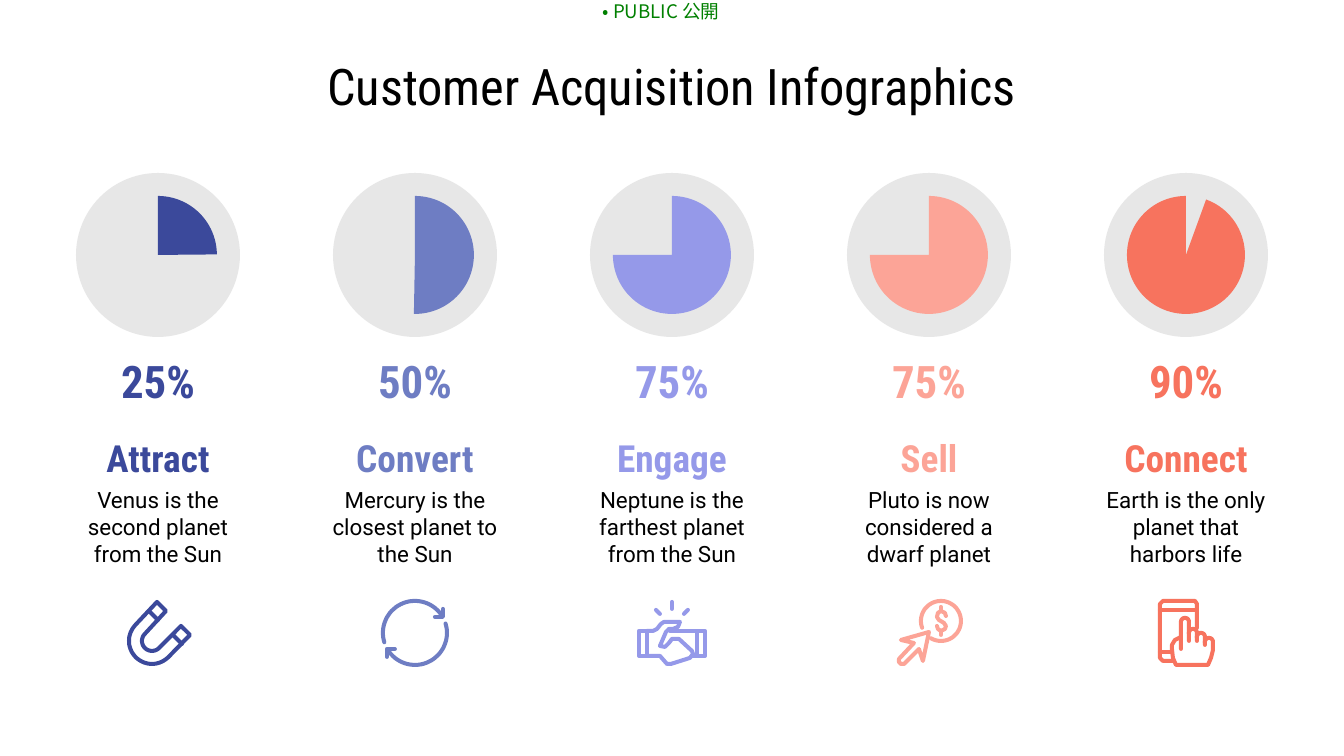
import math

import lxml.etree
import pptx
import pptx.dml.color
import pptx.enum.shapes
import pptx.enum.text
import pptx.oxml.ns
import pptx.util

SLIDE_WIDTH, SLIDE_HEIGHT = 1344, 756
SCALE = 9144000 / SLIDE_WIDTH
CURVE_STEPS = 10
ICON_WIDTH = 72
INSET = 13
BLACK, GREY, GREEN = "000000", "E7E7E7", "008000"
SHAPES = pptx.enum.shapes.MSO_SHAPE


def px(length):
    return pptx.util.Emu(round(length * SCALE))


def color(value):
    return pptx.dml.color.RGBColor.from_string(value)


def arc(center_x, center_y, radius, start, end):
    count = max(2, round(abs(end - start) / 5))
    angles = [math.radians(start + (end - start) * step / count) for step in range(count + 1)]
    return [(center_x + radius * math.cos(angle), center_y + radius * math.sin(angle)) for angle in angles]


MAGNET = [
    [(35, 4), *arc(30, 43, 23, 225, 45), (68, 37), (59, 28), *arc(30, 43, 10, 45, 225), (44, 13), (35, 4)],
    [(27, 13), (36, 22)],
    [(51, 37), (60, 46)],
]
CYCLE = [
    arc(36, 35, 32, 163, 324),
    [(56, 19), (64, 19), (64, 11)],
    arc(36, 35, 32, -17, 144),
    [(16, 51), (8, 51), (8, 59)],
]
HANDSHAKE = [
    [(36, 4), (36, 11)],
    [(20, 12), (24, 16)],
    [(52, 12), (48, 16)],
    [(3, 33), (11, 33), (11, 58), (3, 58), (3, 33)],
    [(61, 33), (69, 33), (69, 58), (61, 58), (61, 33)],
    [(11, 33), (17, 33), (21, 31), (25, 26), (28, 24), (44, 24), (42, 29), (37, 31), (33, 31),
     (30, 34), (24, 48), (29, 49), (33, 45), (36, 41), (43, 41), (56, 53), (57, 56), (54, 60),
     (35, 66), (31, 66), (24, 58), (11, 58)],
    [(34, 33), (61, 33)],
    [(56, 58), (61, 58)],
]
CLICK = [
    arc(48, 23, 20, 160, 480),
    [(36, 34), (8, 42), (21, 45), (6, 61), (6, 64), (8, 66), (11, 66), (26, 51), (30, 63), (36, 34)],
    [(53, 18), (52, 15), (48, 13), (45, 15), (44, 19), (46, 22), (51, 25), (53, 28),
     (52, 31), (48, 33), (45, 31), (44, 28)],
    [(48, 9), (48, 13)],
    [(48, 33), (48, 37)],
]
PHONE = [
    [(47, 30), (47, 6), (45, 3), (13, 3), (10, 6), (10, 60), (13, 63), (23, 63)],
    [(10, 12), (47, 12)],
    [(10, 54), (21, 54)],
    [(31, 51), (31, 24), *arc(35, 24, 4, 180, 360), (39, 43)],
    [(39, 36), *arc(43, 35, 4, 180, 360), (47, 43)],
    [(47, 40), *arc(51, 39, 4, 180, 360), (55, 47)],
    [(55, 45), *arc(59, 44, 4, 180, 360), (63, 52), (61, 60), (58, 67), (26, 67), (23, 60),
     (22, 51), (22, 47), (25, 42), (31, 39)],
]

STAGES = [
    ("25%", "Attract", "Venus is the second planet from the Sun", "3B499B", (270, 359.5), MAGNET),
    ("50%", "Convert", "Mercury is the closest planet to the Sun", "6E7DC3", (270, 91), CYCLE),
    ("75%", "Engage", "Neptune is the farthest planet from the Sun", "9599E9", (270, 180), HANDSHAKE),
    ("75%", "Sell", "Pluto is now considered a dwarf planet", "FCA497", (270, 180), CLICK),
    ("90%", "Connect", "Earth is the only planet that harbors life", "F7735E", (290, 270), PHONE),
]


def write(shape, text, size, font_name, font_color, bold=False, inset=INSET,
          anchor=pptx.enum.text.MSO_ANCHOR.MIDDLE):
    frame = shape.text_frame
    frame.text = text
    frame.word_wrap = True
    frame.auto_size = pptx.enum.text.MSO_AUTO_SIZE.NONE
    frame.vertical_anchor = anchor
    frame.margin_left = frame.margin_right = frame.margin_top = frame.margin_bottom = px(inset)
    paragraph = frame.paragraphs[0]
    paragraph.alignment = pptx.enum.text.PP_ALIGN.CENTER
    font = paragraph.runs[0].font
    font.size = pptx.util.Pt(size)
    font.name = font_name
    font.bold = bold
    font.color.rgb = color(font_color)
    return paragraph.runs[0]


def add_label(slide, box, *style, **options):
    return write(slide.shapes.add_textbox(*map(px, box)), *style, **options)


def add_filled(slide, kind, box, fill):
    shape = slide.shapes.add_shape(kind, *map(px, box))
    shape.shadow.inherit = False
    shape.fill.solid()
    shape.fill.fore_color.rgb = color(fill)
    shape.line.fill.background()
    return shape


def add_icon(slide, left, top, strokes, stroke_color):
    points = [[(x * CURVE_STEPS, y * CURVE_STEPS) for x, y in stroke] for stroke in strokes]
    builder = slide.shapes.build_freeform(*points[0][0], scale=SCALE / CURVE_STEPS)
    builder.add_line_segments(points[0][1:], close=False)
    for stroke in points[1:]:
        builder.move_to(*stroke[0])
        builder.add_line_segments(stroke[1:], close=False)
    shape = builder.convert_to_shape(px(left), px(top))
    shape.shadow.inherit = False
    shape.fill.background()
    shape.line.color.rgb = color(stroke_color)
    shape.line.width = px(4)
    outline = shape.element.spPr.find(pptx.oxml.ns.qn("a:ln"))
    outline.set("cap", "rnd")
    lxml.etree.SubElement(outline, pptx.oxml.ns.qn("a:round"))


def add_stage(slide, left, top, width, stage):
    percent, name, description, accent, angles, icon = stage

    def centered(offset, box_width, box_height):
        return left + (width - box_width) // 2, top + offset, box_width, box_height

    add_filled(slide, SHAPES.OVAL, centered(0, 164, 164), GREY)
    pie = add_filled(slide, SHAPES.PIE, centered(23, 118, 118), accent)
    for index, angle in enumerate(angles):
        pie.adjustments[index] = angle * 0.6
    add_label(slide, centered(176, 126, 63), percent, 24, "Roboto Condensed", accent, bold=True)
    add_label(slide, centered(261, 244, 48), name, 20, "Roboto Condensed", accent, bold=True)
    add_label(slide, centered(320, 210, 67), description, 12, "Roboto", BLACK)
    icon_left, icon_top = centered(425, ICON_WIDTH, ICON_WIDTH)[:2]
    add_icon(slide, icon_left, icon_top, icon, accent)


def add_classification(slide, box):
    run = add_label(slide, box, "• PUBLIC 公開", 10, "Noto Sans CJK JP", GREEN,
                    inset=0, anchor=pptx.enum.text.MSO_ANCHOR.TOP)
    east_asian = lxml.etree.SubElement(run.font._element, pptx.oxml.ns.qn("a:ea"))
    east_asian.set("typeface", "Noto Sans CJK JP")


def set_title(slide, box):
    title = slide.shapes.title
    title.left, title.top, title.width, title.height = map(px, box)
    write(title, "Customer Acquisition Infographics", 27, "Roboto Condensed", BLACK)


def main():
    presentation = pptx.Presentation()
    presentation.slide_width = px(SLIDE_WIDTH)
    presentation.slide_height = px(SLIDE_HEIGHT)
    slide = presentation.slides.add_slide(presentation.slide_layouts[5])
    add_classification(slide, (601, 0, 120, 23))
    set_title(slide, (66, 61, 1211, 48))
    for index, stage in enumerate(STAGES):
        add_stage(slide, 30 + 257 * index, 173, 256, stage)
    presentation.save("out.pptx")


if __name__ == "__main__":
    main()
